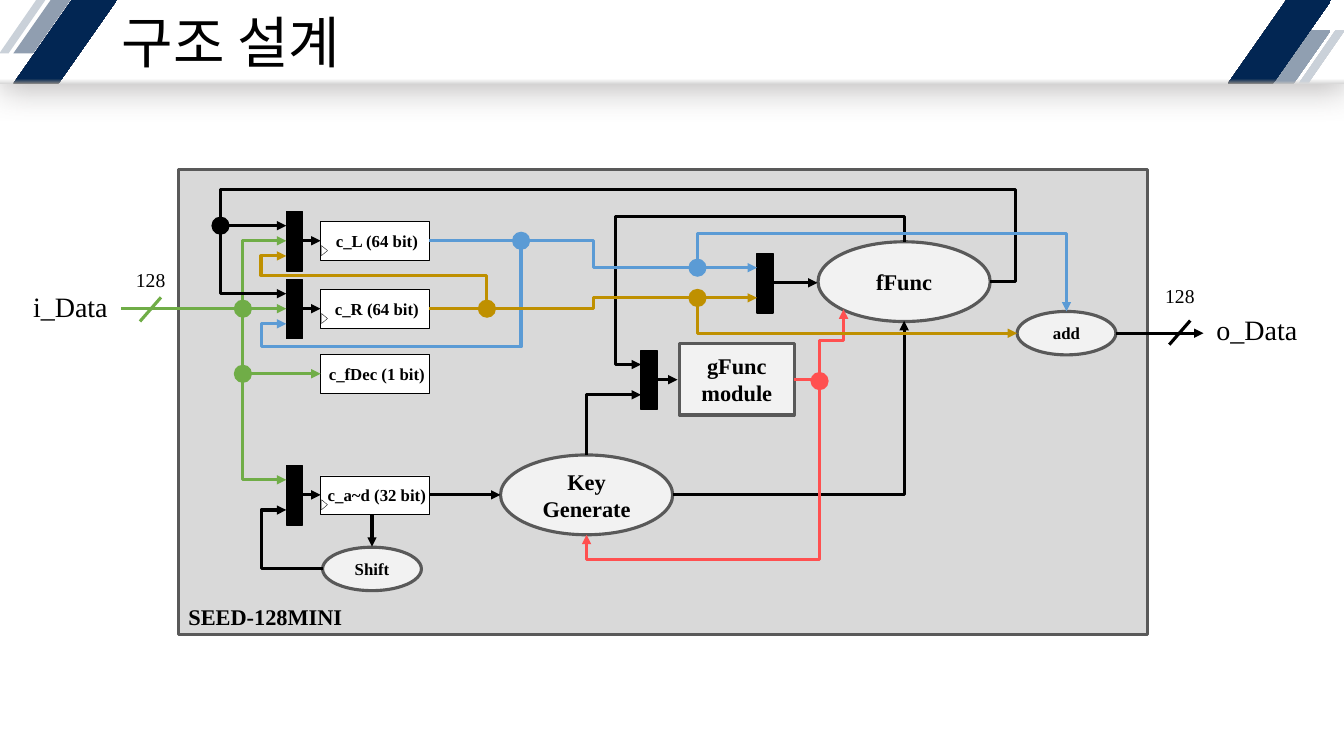
from lxml.etree import SubElement as Sub
from pptx import Presentation
from pptx.dml.color import RGBColor as RGB
from pptx.enum.shapes import MSO_CONNECTOR as Link, MSO_SHAPE as Form
from pptx.enum.text import MSO_ANCHOR as Anchor, PP_ALIGN as Align
from pptx.oxml.ns import qn
from pptx.util import Pt

FONT = "Times New Roman"
HUE = {
    "black": "000000", "white": "FFFFFF", "panel": "D9D9D9", "edge": "595959",
    "pale": "F2F2F2", "green": "70AD47", "blue": "5B9BD5", "gold": "BF9000",
    "red": "FF5050", "navy": "022653", "slate": "7A8BA1", "steel": "909FB1",
    "mist": "CAD1D9", "gray": "808080", "silver": "BFBFBF", "shade": "767171",
}


def tint(name):
    return RGB.from_string(HUE[name])


def write(shape, text, size=16, bold=True, align=Align.CENTER,
          anchor=Anchor.MIDDLE, inset=(7.2, 3.6, 7.2, 3.6), wrap=True, lead=None):
    frame = shape.text_frame
    frame.text = text
    frame.word_wrap = wrap
    frame.vertical_anchor = anchor
    (frame.margin_left, frame.margin_top,
     frame.margin_right, frame.margin_bottom) = map(Pt, inset)
    for para in frame.paragraphs:
        para.alignment = align
        para.line_spacing = lead
        font = para.runs[0].font
        font.name, font.size, font.bold = FONT, Pt(size), bold
        font.color.rgb = tint("black")


def draw(slide, form, x, y, w, h, fill, line=None, width=2.25, foot=None, turn=0):
    shape = slide.shapes.add_shape(form, Pt(x), Pt(y), Pt(w), Pt(h))
    shape.shadow.inherit = False
    shape.rotation = turn
    if foot:
        shape.fill.gradient()
        shape.fill.gradient_angle = 90
        low, high = shape.fill.gradient_stops
        low.color.rgb, low.position = tint(foot), 0
        high.color.rgb, high.position = tint(fill), 0.06
    else:
        shape.fill.solid()
        shape.fill.fore_color.rgb = tint(fill)
    if line:
        shape.line.color.rgb = tint(line)
        shape.line.width = Pt(width)
    else:
        shape.line.fill.background()
    return shape


def label(slide, text, x, y, w, h, **style):
    write(slide.shapes.add_textbox(Pt(x), Pt(y), Pt(w), Pt(h)), text, **style)


def wire(slide, x, y, hue, *path, arrow=True):
    (ax, ay), (bx, by) = path[0], path[-1]
    dx, dy = bx - ax, by - ay
    bends = len(path) - 2
    down = bends > 0 and path[1][0] == ax
    mx, my = x + (ax + bx) / 2, y + (ay + by) / 2
    hx, hy = (dy / 2, -dx / 2) if down else (dx / 2, dy / 2)
    link = slide.shapes.add_connector(
        Link.ELBOW if bends else Link.STRAIGHT,
        Pt(mx - hx), Pt(my - hy), Pt(mx + hx), Pt(my + hy))
    link.line.color.rgb = tint(hue)
    link.line.width = Pt(2.25)
    props = link._element.spPr
    if down:
        props.find(qn("a:xfrm")).set("rot", "5400000")
    if bends:
        geom = props.find(qn("a:prstGeom"))
        geom.set("prst", f"bentConnector{bends + 1}")
        guides = geom.find(qn("a:avLst"))
        for i in range(1, bends):
            axis = (i + 1 + down) % 2
            part = (path[i][axis] - path[0][axis]) / (dy if axis else dx)
            Sub(guides, qn("a:gd"), name=f"adj{i}", fmla=f"val {round(part * 100000)}")
    if arrow:
        Sub(link.line._get_or_add_ln(), qn("a:tailEnd"), type="triangle")
    Sub(props, qn("a:effectLst"))


def header(slide, x, y, w, h):
    bar = draw(slide, Form.RECTANGLE, x, y, w, h, "white", foot="panel")
    cast = Sub(bar._element.spPr.find(qn("a:effectLst")), qn("a:outerShdw"),
               blurRad=str(Pt(24)), dist=str(Pt(3)), dir="4800000", rotWithShape="0")
    shade = Sub(cast, qn("a:srgbClr"), val=HUE["shade"])
    Sub(shade, qn("a:alpha"), val="50000")
    for dx, dy, wide, high, slant, fill, foot in (
            (9.5, 0, 41, 38.2, 0.7, "slate", None),
            (9.5, 0, 74, h, 0.7, "navy", "gray"),
            (-0.5, 0, 33, 38.2, 0.8, "mist", None),
            (909.5, 21.8, 41, 38.2, 0.7, "steel", "silver"),
            (877, 0, 74, h, 0.7, "navy", "gray"),
            (927.5, 21.8, 33, 38.2, 0.8, "mist", "panel")):
        band = draw(slide, Form.PARALLELOGRAM, x + dx, y + dy, wide, high, fill, foot=foot)
        band.adjustments[0] = slant
        if fill == "slate":
            Sub(band._element.spPr.find(".//" + qn("a:srgbClr")), qn("a:alpha"), val="83000")
    label(slide, "구조 설계", x + 10.8, y, 631, h, size=40, bold=False, align=Align.LEFT,
          inset=(76.3, 8.6, 76.3, 2.9), lead=0.9)


def port(slide, x, y, name, tick, text, gap):
    wire(slide, x, y, tick[2], (tick[0] + 7.5, tick[1] - 8.6),
         (tick[0] - 7.5, tick[1] + 8.6), arrow=False)
    plain = dict(bold=False, align=Align.LEFT, anchor=Anchor.TOP, wrap=False)
    label(slide, "128", x + tick[0] - 17.5, y + tick[1] - gap, 36, 24.5, size=14, **plain)
    label(slide, name, x + text[0], y + text[1], text[2], 31.5, size=20, **plain)


def circuit(slide, x, y, w, h):
    panel = draw(slide, Form.RECTANGLE, x, y, w, h, "panel", "edge")
    write(panel, "SEED-128MINI", align=Align.LEFT, anchor=Anchor.BOTTOM)
    left, right, dec, key = 51, 99.5, 146, 232.5
    func, gate, add = 81, 150.2, 117
    mux, reg, end, step = 77, 101.5, 179, 10.8
    feed, home, loop, fork = 46, 30, 59, 296.6
    kx, fx, ax, sx, sy = 291.5, 518.3, 634.3, 138.2, 285.4
    blue, gold, red, split = 244.7, 220.3, 457.9, 370.7

    for row, name in ((left, "c_L (64 bit)"), (right, "c_R (64 bit)"),
                      (dec, "c_fDec (1 bit)"), (key, "c_a~d (32 bit)")):
        box = draw(slide, Form.RECTANGLE, x + reg, y + row - 13.7, end - reg, 27.4,
                   "white", "black", 0.25)
        write(box, " " + name, size=12, wrap=False)
        if row != dec:
            draw(slide, Form.ISOSCELES_TRIANGLE, x + reg - 0.8, y + row + 4.9, 7.2, 4.3,
                 "white", "black", 0.25, turn=90)
    for col, row in ((mux, left), (mux, right), (mux, key), (330.4, gate), (413.2, func)):
        draw(slide, Form.RECTANGLE, x + col, y + row - 21, 11.5, 42.5, "black", "black", 1)
    for cx, cy, wide, high, name, size in (
            (kx, key, 123, 57, "Key\nGenerate", 16), (fx, 80.2, 123, 57, "fFunc", 16),
            (sx, sy, 70.6, 31, "Shift", 12), (ax, add, 70.6, 31, "add", 12)):
        oval = draw(slide, Form.OVAL, x + cx - wide / 2, y + cy - high / 2, wide, high,
                    "pale", "edge")
        write(oval, name, size=size, inset=(11.5, 5.8, 11.5, 5.8))
    block = draw(slide, Form.RECTANGLE, x + 357.8, y + 124.5, 82, 51, "pale", "edge")
    write(block, "gFunc\nmodule")

    for hue, *path in (
            ("green", (-41, right), (mux, right)),
            ("green", (feed, right), (feed, left), (mux, left)),
            ("green", (feed, right), (feed, key - step), (mux, key - step)),
            ("green", (feed, right), (feed, dec), (reg, dec)),
            ("black", (mux + 6, left), (reg, left)),
            ("black", (mux + 6, right), (reg, right)),
            ("black", (mux + 6, key), (reg, key)),
            ("black", (end, key), (230, key)),
            ("black", (336, gate), (356.5, gate)),
            ("black", (419, func), (456.5, func)),
            ("black", (353, key), (fx, key), (fx, 108.3)),
            ("black", (kx, 204), (kx, gate + step), (330.4, gate + step)),
            ("black", (fx, 51.7), (fx, 33.8), (312.4, 33.8), (312.4, gate - step),
             (330.4, gate - step)),
            ("black", (579.8, 80.2), (598, 80.2), (598, 14.4), (home, 14.4),
             (home, left - step), (mux, left - step)),
            ("black", (home, left - step), (home, right - step), (mux, right - step)),
            ("black", (sx, 246.2), (sx, 269.5)),
            ("black", (103, sy), (loop, sy), (loop, key + step), (mux, key + step)),
            ("black", (669.6, add), (732.2, add)),
            ("red", (440, gate), (red, gate), (red, 278.6), (kx, 278.6), (kx, 261)),
            ("red", (red, gate), (red, 122.4), (475, 122.4), (475, 100)),
            ("blue", (end, left), (fork, left), (fork, func - step), (413.2, func - step)),
            ("blue", (blue, left), (blue, 126.7), (loop, 126.7), (loop, right + step),
             (mux, right + step)),
            ("blue", (split, func - step), (split, 46), (ax, 46), (ax, 101.5)),
            ("gold", (end, right), (fork, right), (fork, func + step), (413.2, func + step)),
            ("gold", (gold, right), (gold, 75.6), (loop, 75.6), (loop, left + step),
             (mux, left + step)),
            ("gold", (split, func + step), (split, add), (599, add))):
        wire(slide, x, y, hue, *path)
    for hue, cx, cy in (
            ("green", feed, right), ("green", feed, dec), ("black", home, left - step),
            ("blue", blue, left), ("blue", split, func - step), ("gold", gold, right),
            ("gold", split, func + step), ("red", red, gate + 1)):
        draw(slide, Form.OVAL, x + cx - 6.5, y + cy - 6.5, 13, 13, hue)
    port(slide, x, y, "i_Data", (-20, 100, "green"), (-111, 82, 70), 33)
    port(slide, x, y, "o_Data", (715.2, 116.6, "black"), (734.3, 98.6, 75), 38.2)


def main():
    deck = Presentation()
    deck.slide_width, deck.slide_height = Pt(960), Pt(540)
    slide = deck.slides.add_slide(deck.slide_layouts[6])
    header(slide, 0, 0, 960, 59.8)
    circuit(slide, 127.5, 121, 692, 332.5)
    deck.save("out.pptx")


if __name__ == "__main__":
    main()
